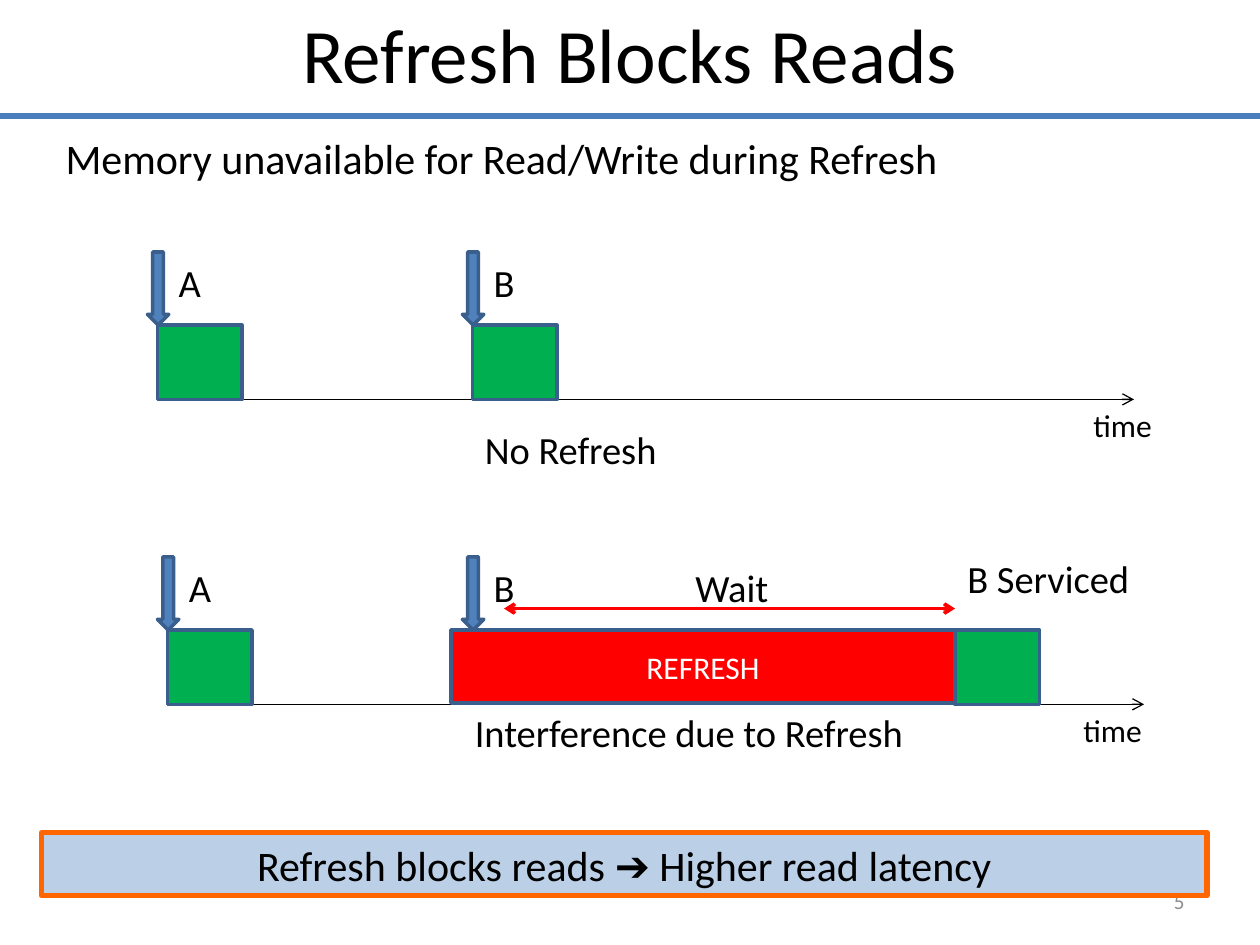
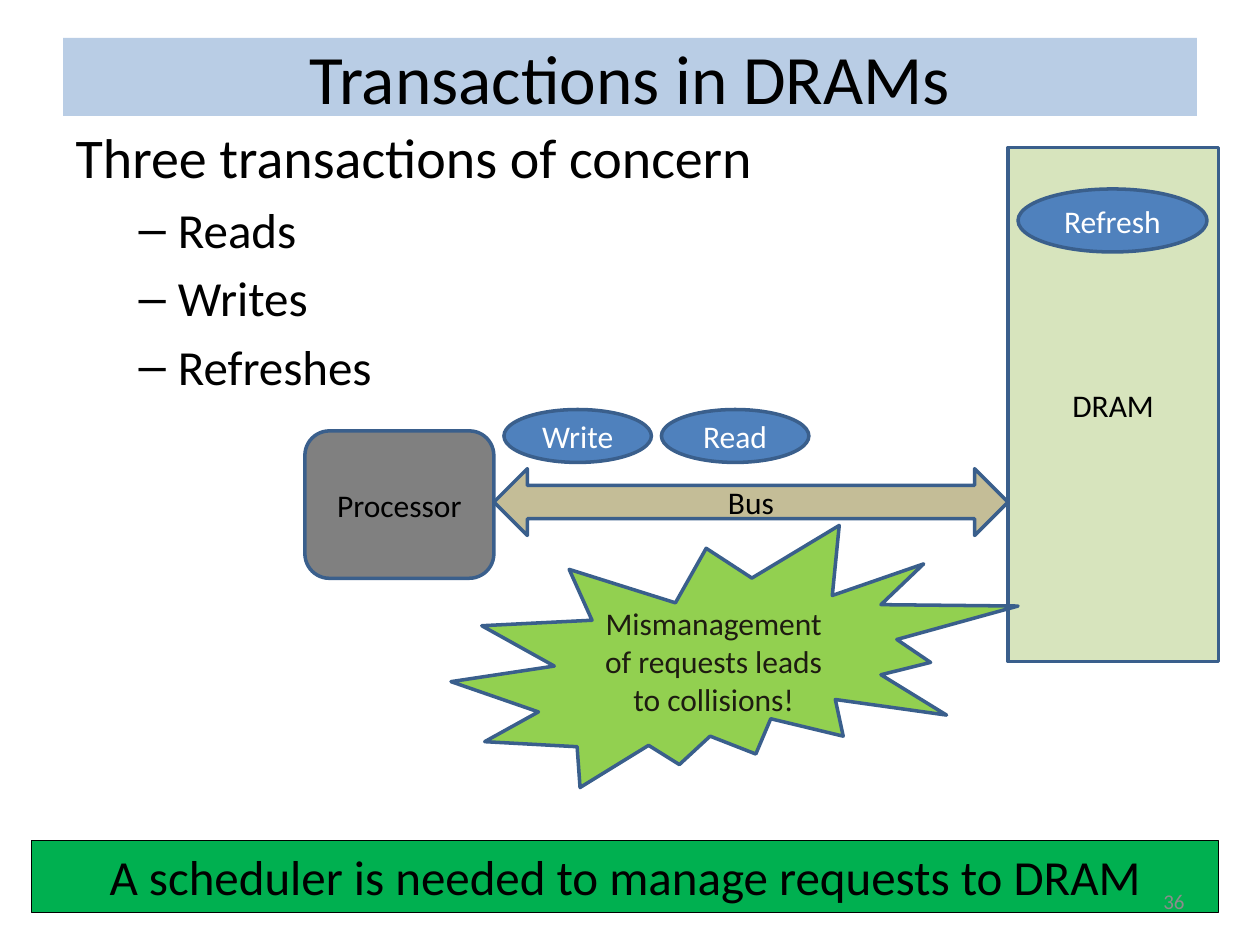
from dataclasses import dataclass
from typing import Optional

from lxml import etree
from pptx import Presentation
from pptx import slide as s
from pptx import util as u
from pptx.dml import color as c
from pptx.enum import shapes, text
from pptx.oxml import ns

Inches = u.Inches
Kind = shapes.MSO_SHAPE
Align = text.PP_ALIGN
Anchor = text.MSO_ANCHOR


@dataclass(frozen=True)
class Theme:
    font: str = "Calibri"
    black: str = "000000"
    white: str = "FFFFFF"
    grey: str = "8C8C8C"
    blue: str = "4F81BD"
    outline: str = "3A5F8C"
    rule: str = "4B7EBC"
    green: str = "00B050"
    red: str = "FF0000"
    orange: str = "FF6600"
    pale_blue: str = "BBCFE6"
    title_band: str = "B9CDE5"
    pale_green: str = "D7E4BD"
    processor: str = "808080"
    tan: str = "C4BD97"
    lime: str = "92D050"
    dark: str = "1E1C11"
    title_size: float = 44
    band_title_size: float = 39.6
    list_size: float = 32
    item_size: float = 28
    lead_size: float = 24
    label_size: float = 22
    small_size: float = 18
    number_size: float = 12
    thin: float = 0.75
    medium: float = 2
    thick: float = 3


THEME = Theme()


@dataclass(frozen=True)
class Area:
    left: float
    top: float
    width: float
    height: float

    def lengths(self) -> tuple:
        return tuple(Inches(n) for n in (self.left, self.top, self.width, self.height))


@dataclass(frozen=True)
class Block:
    """A filled preset shape, with or without centred text."""
    kind: Kind
    area: Area
    fill: str
    words: str = ""
    ink: str = THEME.black
    size: float = THEME.small_size
    line: str = THEME.outline
    line_width: float = THEME.medium
    anchor: Anchor = Anchor.MIDDLE


@dataclass(frozen=True)
class Label:
    words: str
    area: Area
    size: float = THEME.label_size
    ink: str = THEME.black
    align: Align = Align.LEFT
    anchor: Anchor = Anchor.TOP
    wrap: bool = False


@dataclass(frozen=True)
class Timeline:
    """A time axis on which request A is served at once and request B arrives."""
    left: float
    top: float
    time_left: float
    caption: str
    caption_at: tuple[float, float]
    service_left: float
    refresh: Optional[Block] = None


def rgb(value: str) -> c.RGBColor:
    return c.RGBColor.from_string(value)


def style(para, size: float, ink: str = THEME.black, align: Align = Align.LEFT) -> None:
    para.alignment = align
    para.font.name = THEME.font
    para.font.size = u.Pt(size)
    para.font.color.rgb = rgb(ink)


def place(shape, area: Area) -> None:
    shape.left, shape.top, shape.width, shape.height = area.lengths()


def add_block(page: s.Slide, block: Block) -> None:
    box = page.shapes.add_shape(block.kind, *block.area.lengths())
    box.shadow.inherit = False
    box.fill.solid()
    box.fill.fore_color.rgb = rgb(block.fill)
    box.line.color.rgb = rgb(block.line)
    box.line.width = u.Pt(block.line_width)
    if block.words:
        frame = box.text_frame
        frame.word_wrap = True
        frame.vertical_anchor = block.anchor
        frame.text = block.words
        style(frame.paragraphs[0], block.size, block.ink, Align.CENTER)


def add_label(page: s.Slide, label: Label) -> None:
    frame = page.shapes.add_textbox(*label.area.lengths()).text_frame
    frame.word_wrap = label.wrap
    frame.vertical_anchor = label.anchor
    frame.text = label.words
    style(frame.paragraphs[0], label.size, label.ink, label.align)


def add_line(page: s.Slide, left: float, right: float, y: float, ink: str,
             width: float, ends: tuple[str, ...] = ()) -> None:
    """Draw a level line; ends names the arrowheads, headEnd before tailEnd."""
    line = page.shapes.add_connector(
        shapes.MSO_CONNECTOR.STRAIGHT, Inches(left), Inches(y), Inches(right), Inches(y))
    line.line.color.rgb = rgb(ink)
    line.line.width = u.Pt(width)
    outline = line.line._get_or_add_ln()
    for end in ends:
        etree.SubElement(outline, ns.qn(f"a:{end}"), type="arrow")
    etree.SubElement(line._element.spPr, ns.qn("a:effectLst"))


def set_title(page: s.Slide, words: str, area: Area, size: float, anchor: Anchor) -> None:
    title = page.shapes.title
    place(title, area)
    frame = title.text_frame
    frame.text = words
    frame.auto_size = text.MSO_AUTO_SIZE.NONE
    frame.vertical_anchor = anchor
    style(frame.paragraphs[0], size, align=Align.CENTER)


def set_body(page: s.Slide, area: Area, lead: str, size: float,
             items: tuple[str, ...] = ()) -> None:
    """Fill the body with an unbulleted lead line and dashed items below it."""
    body = page.placeholders[1]
    place(body, area)
    frame = body.text_frame
    frame.auto_size = text.MSO_AUTO_SIZE.NONE
    frame.text = lead
    para = frame.paragraphs[0]
    para.space_before = u.Pt(0)
    properties = para._p.get_or_add_pPr()
    properties.set("marL", "0")
    properties.set("indent", "0")
    etree.SubElement(properties, ns.qn("a:buNone"))
    style(para, size)
    for item in items:
        para = frame.add_paragraph()
        para.text = item
        para.level = 1
        etree.SubElement(para._p.get_or_add_pPr(), ns.qn("a:buChar"), char="–")
        style(para, THEME.item_size)


def add_number(page: s.Slide, number: int) -> None:
    add_label(page, Label(str(number), Area(7.17, 6.95, 2.33, 0.4), THEME.number_size,
                          THEME.grey, Align.RIGHT, Anchor.MIDDLE, True))


def add_request(page: s.Slide, name: str, x: float, top: float) -> None:
    add_block(page, Block(Kind.DOWN_ARROW, Area(x - 0.08, top, 0.17, 0.58), THEME.blue))
    add_label(page, Label(name, Area(x + 0.07, top + 0.01, 0.38, 0.47)))


def add_service(page: s.Slide, x: float, top: float) -> None:
    add_block(page, Block(Kind.FLOWCHART_PROCESS, Area(x, top + 0.58, 0.67, 0.59),
                          THEME.green))


def add_timeline(page: s.Slide, row: Timeline) -> None:
    axis = row.top + 1.17
    add_line(page, row.left, row.left + 7.75, axis, THEME.black, THEME.thin, ("tailEnd",))
    add_label(page, Label("time", Area(row.time_left, axis, 0.67, 0.4), THEME.small_size))
    add_label(page, Label(row.caption, Area(*row.caption_at, 3.83, 0.47), wrap=True))
    if row.refresh:
        add_block(page, row.refresh)
    for name, arrival, service in (("A", row.left, row.left),
                                   ("B", 3.75, row.service_left)):
        add_service(page, service, row.top)
        add_request(page, name, arrival, row.top)


def build_refresh_page(page: s.Slide) -> None:
    set_title(page, "Refresh Blocks Reads", Area(0.5, 0, 9, 0.96),
              THEME.title_size, Anchor.TOP)
    add_line(page, 0, 10, 0.92, THEME.rule, THEME.thick)
    set_body(page, Area(0.42, 1, 9.42, 1),
             "Memory unavailable for Read/Write during Refresh", THEME.lead_size)
    add_number(page, 5)

    refresh = Block(Kind.FLOWCHART_PROCESS, Area(3.58, 5, 4, 0.58), THEME.red,
                    "REFRESH", THEME.white)
    for row in (
        Timeline(1.25, 2, 8.58, "No Refresh", (3.75, 3.33), 3.75),
        Timeline(1.33, 4.42, 8.5, "Interference due to Refresh", (3.67, 5.58), 7.58,
                 refresh),
    ):
        add_timeline(page, row)

    add_line(page, 4, 7.58, 4.83, THEME.red, THEME.medium, ("headEnd", "tailEnd"))
    add_label(page, Label("Wait", Area(5.42, 4.43, 0.79, 0.47)))
    add_label(page, Label("B Serviced", Area(7.58, 4.36, 1.5, 0.47)))
    add_block(page, Block(Kind.RECTANGLE, Area(0.33, 6.61, 9.25, 0.5), THEME.pale_blue,
                          "Refresh blocks reads ➔ Higher read latency",
                          size=THEME.lead_size, line=THEME.orange,
                          line_width=THEME.thick, anchor=Anchor.TOP))


def build_transactions_page(page: s.Slide) -> None:
    set_title(page, "Transactions in DRAMs", Area(0.5, 0.3, 9, 0.62),
              THEME.band_title_size, Anchor.MIDDLE)
    band = page.shapes.title.fill
    band.solid()
    band.fore_color.rgb = rgb(THEME.title_band)
    set_body(page, Area(0.5, 0.92, 9, 5.78), "Three transactions of concern",
             THEME.list_size, ("Reads", "Writes", "Refreshes"))

    for block in (
        Block(Kind.RECTANGLE, Area(8, 1.17, 1.67, 4.08), THEME.pale_green, "DRAM"),
        Block(Kind.ROUNDED_RECTANGLE, Area(2.42, 3.42, 1.5, 1.17), THEME.processor,
              "Processor"),
        Block(Kind.LEFT_RIGHT_ARROW, Area(3.92, 3.72, 4.08, 0.53), THEME.tan, "Bus"),
        Block(Kind.EXPLOSION2, Area(3.58, 4.17, 4.5, 2.08), THEME.lime,
              "Mismanagement of requests leads to collisions!", THEME.dark),
        Block(Kind.RECTANGLE, Area(0.25, 6.67, 9.42, 0.57), THEME.green,
              "A scheduler is needed to manage requests to DRAM", size=THEME.item_size,
              line=THEME.black, line_width=THEME.thin, anchor=Anchor.TOP),
    ):
        add_block(page, block)
    for name, area in (
        ("Read", Area(5.25, 3.25, 1.17, 0.42)),
        ("Write", Area(4, 3.25, 1.17, 0.42)),
        ("Refresh", Area(8.08, 1.5, 1.5, 0.5)),
    ):
        add_block(page, Block(Kind.OVAL, area, THEME.blue, name, THEME.white))
    add_number(page, 36)


def main() -> None:
    deck = Presentation()
    deck.slide_width, deck.slide_height = Inches(10), Inches(7.5)
    for build in (build_refresh_page, build_transactions_page):
        build(deck.slides.add_slide(deck.slide_layouts[1]))
    deck.save("out.pptx")


if __name__ == "__main__":
    main()
